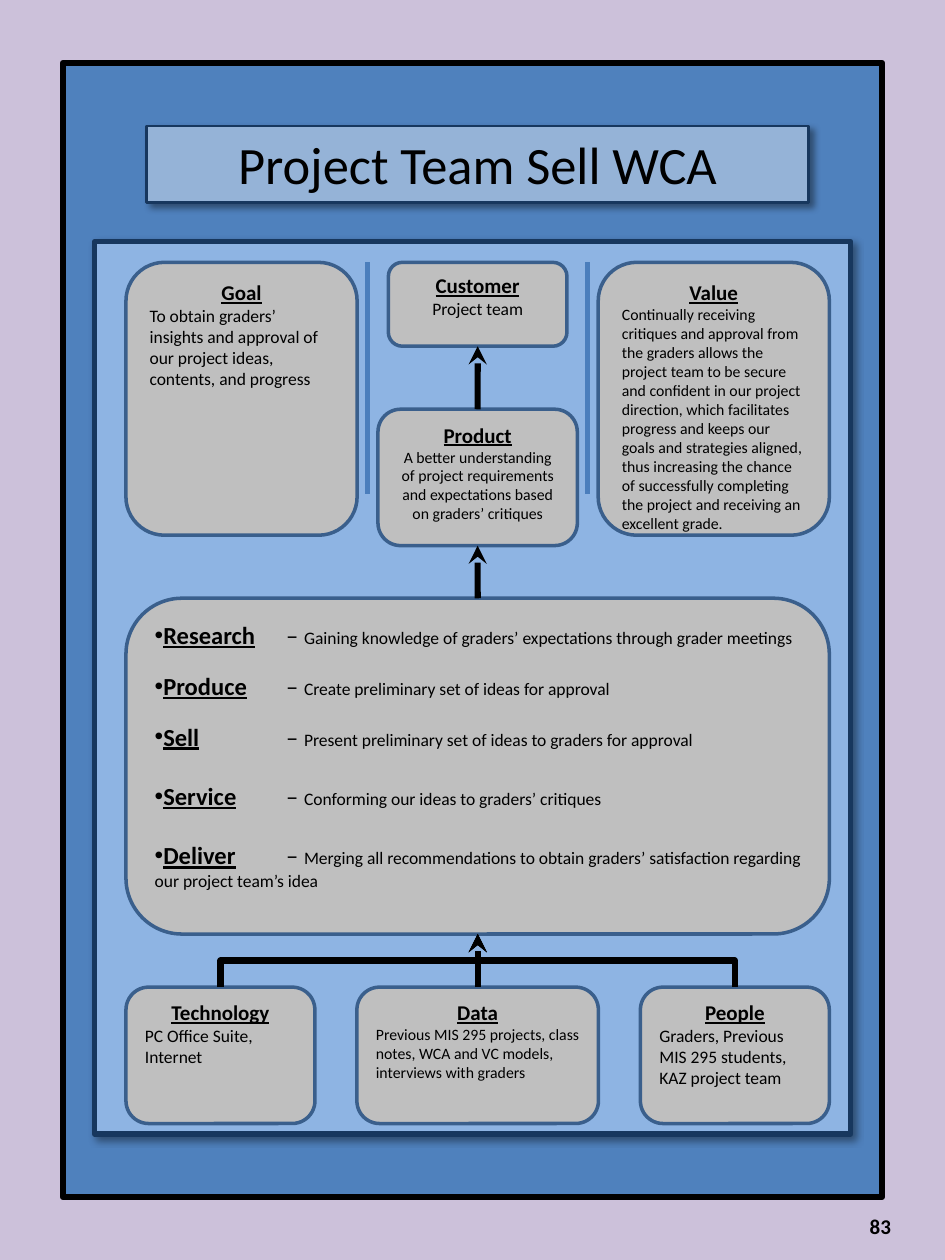
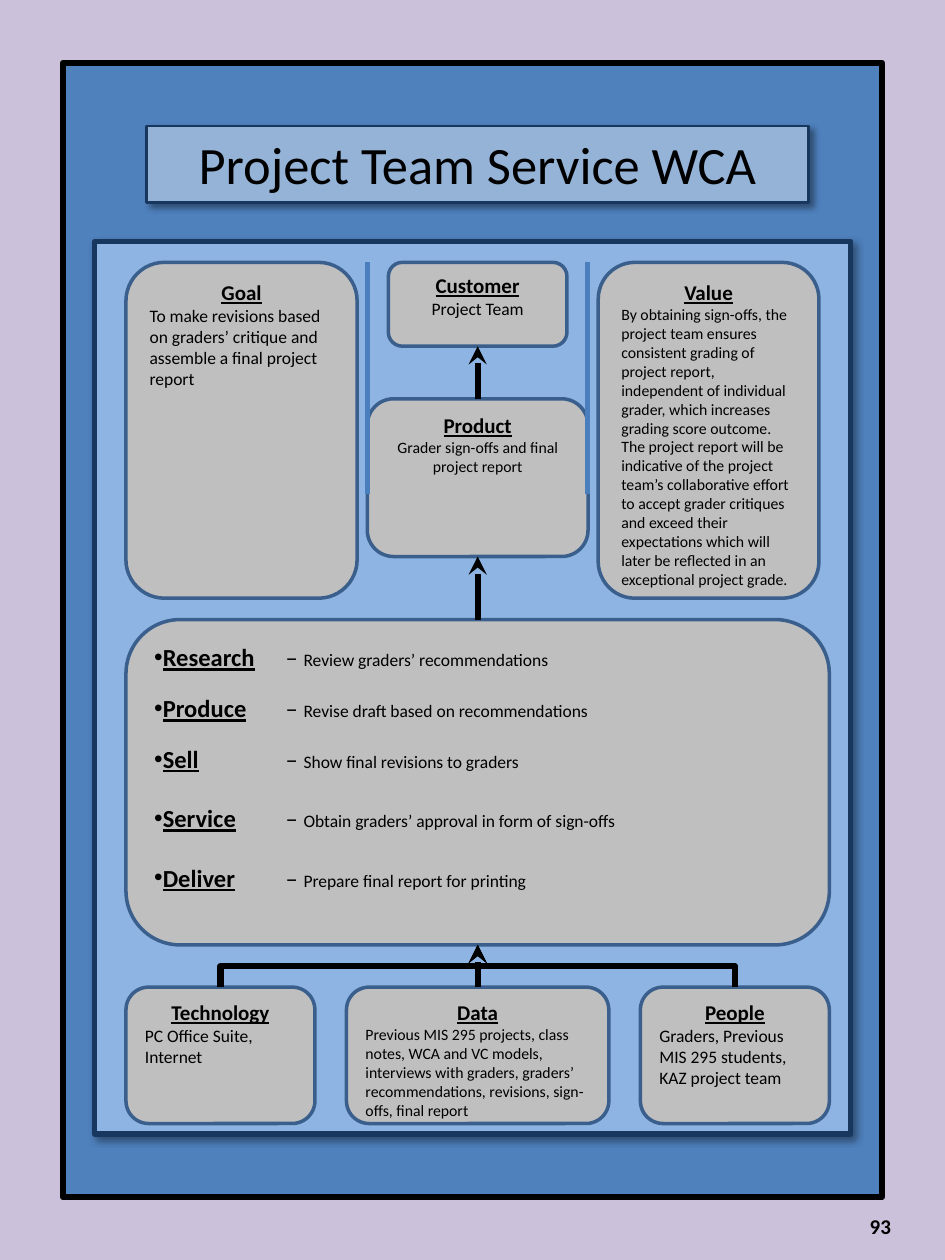
import dataclasses

import lxml.etree
import pptx
import pptx.dml.color
import pptx.enum.shapes
import pptx.enum.text
import pptx.oxml.ns
import pptx.util

Cm, Pt = pptx.util.Cm, pptx.util.Pt
SHAPE = pptx.enum.shapes.MSO_SHAPE
CONNECTOR = pptx.enum.shapes.MSO_CONNECTOR
ALIGN = pptx.enum.text.PP_ALIGN
ANCHOR = pptx.enum.text.MSO_ANCHOR
qn = pptx.oxml.ns.qn


@dataclasses.dataclass(frozen=True)
class Theme:
    font: str = "Calibri"
    ink: str = "000000"
    page: str = "CCC1DA"
    frame: str = "4F81BD"
    panel: str = "8EB4E3"
    panel_edge: str = "17375E"
    banner: str = "95B3D7"
    card: str = "BFBFBF"
    card_edge: str = "3A5F8C"
    divider: str = "4B7EBC"
    title: int = 30
    activity: int = 14
    heading: int = 12
    body: int = 10
    small: int = 9


@dataclasses.dataclass(frozen=True)
class Box:
    """Lengths in centimetres."""
    left: float
    top: float
    width: float
    height: float

    def inside(self, left, top, width, height):
        return Box(self.left + left, self.top + top, width, height)

    def centred(self, top, width, height):
        return self.inside((self.width - width) / 2, top, width, height)

    def emu(self):
        return Cm(self.left), Cm(self.top), Cm(self.width), Cm(self.height)


THEME = Theme()
FRAME = Box(1.27, 1.27, 16.51, 22.86)
BANNER = Box(2.96, 2.54, 13.34, 1.55)
PANEL = Box(1.91, 4.87, 15.24, 17.99)
CONTENT = Box(2.54, 5.29, 14.18, 17.36)
PAGE_NUMBER = Box(13.76, 24.05, 4.45, 1.35)

# Space in points after each activity
ACTIVITY_GAPS = {"Research": 12.2, "Produce": 12.2, "Sell": 17.1, "Service": 17.1, "Deliver": 0}


def rgb(colour):
    return pptx.dml.color.RGBColor.from_string(colour)


def add_text(paragraph, text, size=THEME.body, bold=False, underline=False, align=None):
    run = paragraph.add_run()
    run.text = text
    run.font.name = THEME.font
    run.font.size = Pt(size)
    run.font.bold = bold
    run.font.underline = underline
    run.font.color.rgb = rgb(THEME.ink)
    if align is not None:
        paragraph.alignment = align


def add_block(slide, box, fill, edge, weight, kind=SHAPE.RECTANGLE, shadow=False):
    block = slide.shapes.add_shape(kind, *box.emu())
    block.shadow.inherit = False
    block.fill.solid()
    block.fill.fore_color.rgb = rgb(fill)
    block.line.color.rgb = rgb(edge)
    block.line.width = Pt(weight)
    block.text_frame.word_wrap = True
    block.text_frame.vertical_anchor = ANCHOR.TOP
    if shadow:
        effects = block._element.spPr.find(qn("a:effectLst"))
        outer = lxml.etree.SubElement(effects, qn("a:outerShdw"), blurRad=str(Pt(4)),
                                      dist=str(Pt(3)), dir="2700000", algn="tl", rotWithShape="0")
        colour = lxml.etree.SubElement(outer, qn("a:srgbClr"), val=THEME.ink)
        lxml.etree.SubElement(colour, qn("a:alpha"), val="40000")
    return block


def add_rounded(slide, box):
    return add_block(slide, box, THEME.card, THEME.card_edge, 2, SHAPE.ROUNDED_RECTANGLE)


def add_card(slide, box, heading, body, size=THEME.body, align=ALIGN.LEFT):
    card = add_rounded(slide, box)
    lines = card.text_frame
    add_text(lines.paragraphs[0], heading, THEME.heading, True, True, ALIGN.CENTER)
    add_text(lines.add_paragraph(), body, size, align=align)
    return card


def add_line(slide, start, end, colour=THEME.ink, weight=3.5, kind=CONNECTOR.STRAIGHT, arrow=False):
    line = slide.shapes.add_connector(kind, *map(int, (*start, *end)))
    line.line.color.rgb = rgb(colour)
    line.line.width = Pt(weight)
    lxml.etree.SubElement(line._element.spPr, qn("a:effectLst"))
    if arrow:
        lxml.etree.SubElement(line.line._get_or_add_ln(), qn("a:tailEnd"), type="stealth")
    return line


def join_up(slide, lower, upper):
    """Straight arrow from the top of one card to the bottom of the next."""
    arrow = add_line(slide, (0, 0), (0, 0), arrow=True)
    arrow.begin_connect(lower, 0)
    arrow.end_connect(upper, 2)


def elbow_up(slide, lower, upper):
    """Bent arrow that leaves upwards: a sideways elbow turned a quarter."""
    start_x, start_y = lower.left + lower.width / 2, lower.top
    end_x, end_y = upper.left + upper.width / 2, upper.top + upper.height
    mid_x, mid_y = (start_x + end_x) / 2, (start_y + end_y) / 2
    run, rise = abs(end_x - start_x) / 2, (start_y - end_y) / 2
    side = 1 if start_x < end_x else -1
    elbow = add_line(slide, (mid_x + side * rise, mid_y + run), (mid_x - side * rise, mid_y - run),
                     kind=CONNECTOR.ELBOW, arrow=True)
    elbow._element.spPr.find(qn("a:xfrm")).set("rot", "5400000" if side == 1 else "16200000")


def draw_backdrop(slide, title, number):
    slide.background.fill.solid()
    slide.background.fill.fore_color.rgb = rgb(THEME.page)
    add_block(slide, FRAME, THEME.frame, THEME.ink, 3.75)
    add_block(slide, PANEL, THEME.panel, THEME.panel_edge, 3, shadow=True)

    # Title banner
    banner = add_block(slide, BANNER, THEME.banner, THEME.panel_edge, 1.5, shadow=True)
    banner.text_frame.auto_size = pptx.enum.text.MSO_AUTO_SIZE.SHAPE_TO_FIT_TEXT
    add_text(banner.text_frame.paragraphs[0], title, THEME.title, align=ALIGN.CENTER)

    # Page number
    footer = slide.shapes.add_textbox(*PAGE_NUMBER.emu()).text_frame
    footer.word_wrap = True
    footer.vertical_anchor = ANCHOR.MIDDLE
    add_text(footer.paragraphs[0], number, THEME.heading, True, align=ALIGN.RIGHT)


def draw_outcomes(slide, area, wca):
    """Goal, customer, product and value; returns the product card."""
    column, height = 4.66, wca["outcome_height"]
    add_card(slide, area.inside(0, 0, column, height), "Goal", wca["goal"])
    add_card(slide, area.inside(area.width - column, 0, wca["value_width"], height),
             "Value", wca["value"], THEME.small)
    customer = add_card(slide, area.centred(0, 3.6, 1.69), "Customer", wca["customer"],
                        align=ALIGN.CENTER)
    product = add_card(slide, area.centred(*wca["product_place"]), "Product", wca["product"],
                       THEME.small, ALIGN.CENTER)
    join_up(slide, product, customer)

    # Column dividers
    for offset in (column + 0.21, area.width - column - 0.21):
        x = Cm(area.left + offset)
        add_line(slide, (x, Cm(area.top)), (x, Cm(area.top + 4.66)), THEME.divider, 3)
    return product


def draw_activities(slide, area, wca):
    top, height = wca["activities_place"]
    card = add_rounded(slide, area.inside(0, top, area.width, height))
    lines = card.text_frame
    lines.vertical_anchor = ANCHOR.MIDDLE
    lines.margin_bottom = Pt(3.6 + wca["bottom_gap"])
    for index, (activity, detail) in enumerate(zip(ACTIVITY_GAPS, wca["activities"])):
        line = lines.add_paragraph() if index else lines.paragraphs[0]
        line.alignment = ALIGN.LEFT
        line.space_after = Pt(ACTIVITY_GAPS[activity])
        layout = line._p.get_or_add_pPr()
        lxml.etree.SubElement(layout, qn("a:buFont"), typeface="Arial")
        lxml.etree.SubElement(layout, qn("a:buChar"), char="•")
        stops = lxml.etree.SubElement(layout, qn("a:tabLst"))
        lxml.etree.SubElement(stops, qn("a:tab"), pos=str(Cm(2.54)), algn="l")
        add_text(line, activity, THEME.activity, True, True)
        add_text(line, "\t – ", THEME.activity)
        add_text(line, detail)
    return card


def draw_resources(slide, area, wca, activities):
    top, side, height = 14.61, 3.81, 2.75
    technology = add_card(slide, area.inside(0, top, side, height), "Technology",
                          "PC Office Suite, Internet")
    data = add_card(slide, area.centred(top, wca["data_width"], height), "Data",
                    wca["data"], THEME.small)
    people = add_card(slide, area.inside(area.width - side, top, side, height), "People",
                      "Graders, Previous MIS 295 students, KAZ project team")
    elbow_up(slide, technology, activities)
    join_up(slide, data, activities)
    elbow_up(slide, people, activities)


def draw_wca(slide, area, wca):
    draw_backdrop(slide, wca["title"], wca["number"])
    product = draw_outcomes(slide, area, wca)
    activities = draw_activities(slide, area, wca)
    join_up(slide, activities, product)
    draw_resources(slide, area, wca, activities)


SELL = dict(
    title="Project Team Sell WCA", number="83",
    outcome_height=5.5, value_width=4.66, product_place=(2.96, 4.02, 2.75),
    activities_place=(6.77, 6.77), bottom_gap=12.2, data_width=4.87,
    goal="To obtain graders’ insights and approval of our project ideas, contents, and progress",
    customer="Project team",
    product="A better understanding of project requirements and expectations based on "
            "graders’ critiques",
    value="Continually receiving critiques and approval from the graders allows the project team "
          "to be secure and confident in our project direction, which facilitates progress and "
          "keeps our goals and strategies aligned, thus increasing the chance of successfully "
          "completing the project and receiving an excellent grade.",
    activities=("Gaining knowledge of graders’ expectations through grader meetings",
                "Create preliminary set of ideas for approval",
                "Present preliminary set of ideas to graders for approval",
                "Conforming our ideas to graders’ critiques",
                "Merging all recommendations to obtain graders’ satisfaction regarding "
                "our project team’s idea"),
    data="Previous MIS 295 projects, class notes, WCA and VC models, interviews with graders",
)

SERVICE = dict(
    title="Project Team Service WCA", number="93",
    outcome_height=6.77, value_width=4.45, product_place=(2.75, 4.45, 3.18),
    activities_place=(7.2, 6.56), bottom_gap=17.1, data_width=5.29,
    goal="To make revisions based on graders’ critique and assemble a final project report",
    customer="Project Team",
    product="Grader sign-offs and final project report",
    value="By obtaining sign-offs, the project team ensures consistent grading of project report, "
          "independent of individual grader, which increases grading score outcome. The project "
          "report will be indicative of the project team’s collaborative effort to accept grader "
          "critiques and exceed their expectations which will later be reflected in an "
          "exceptional project grade.",
    activities=("Review graders’ recommendations",
                "Revise draft based on recommendations",
                "Show final revisions to graders",
                "Obtain graders’ approval in form of sign-offs",
                "Prepare final report for printing"),
    data="Previous MIS 295 projects, class notes, WCA and VC models, interviews with graders, "
         "graders’ recommendations, revisions, sign-offs, final report",
)


def main():
    deck = pptx.Presentation()
    deck.slide_width, deck.slide_height = Cm(19.05), Cm(25.4)
    for wca in (SELL, SERVICE):
        draw_wca(deck.slides.add_slide(deck.slide_layouts[6]), CONTENT, wca)
    deck.save("out.pptx")


if __name__ == "__main__":
    main()
